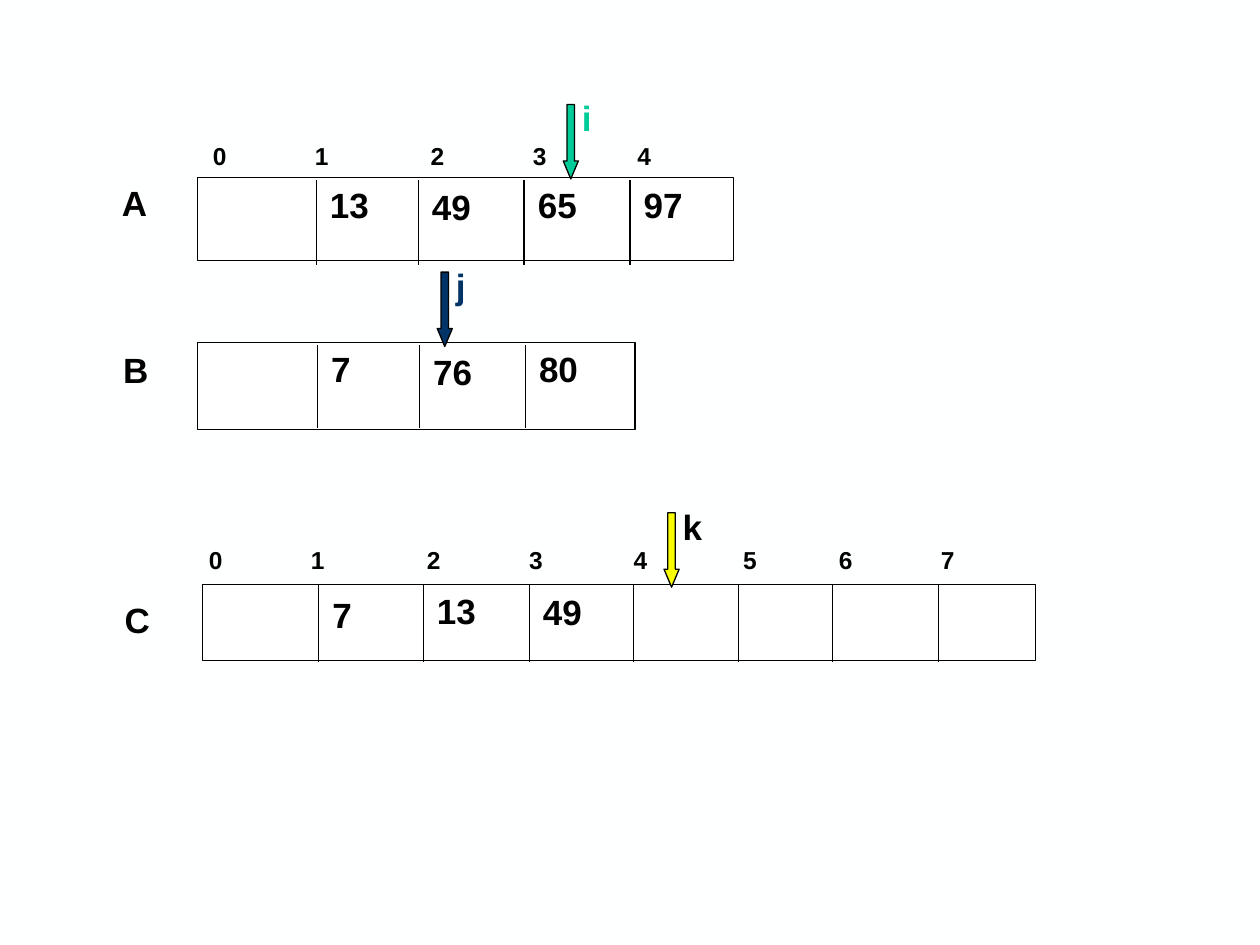
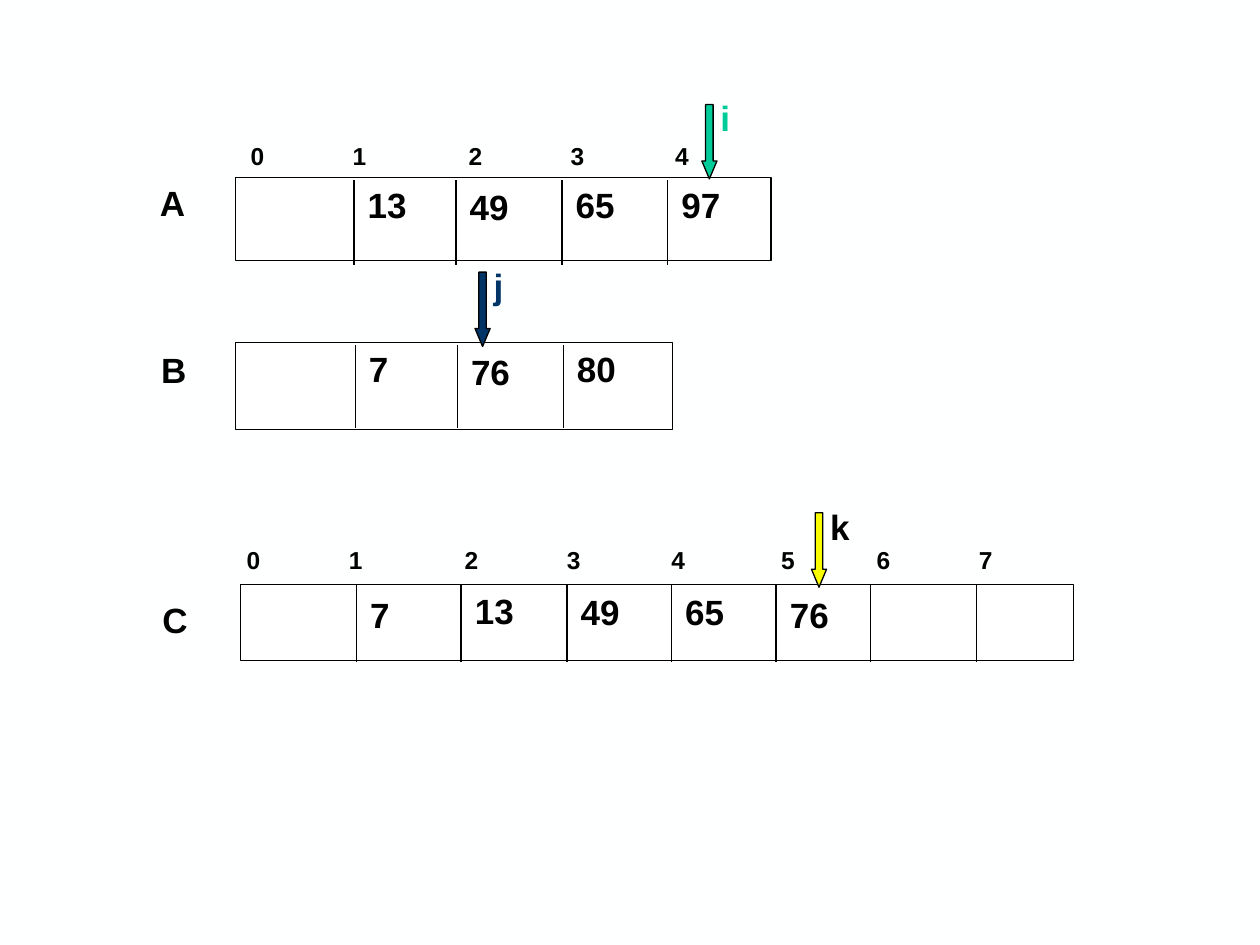
from lxml import etree
from pptx import Presentation
from pptx.dml.color import RGBColor
from pptx.enum.shapes import MSO_CONNECTOR, MSO_SHAPE
from pptx.enum.text import MSO_AUTO_SIZE
from pptx.oxml.ns import qn
from pptx.util import Inches, Pt

RECT, DOWN_ARROW = MSO_SHAPE.RECTANGLE, MSO_SHAPE.DOWN_ARROW
STRAIGHT = MSO_CONNECTOR.STRAIGHT
FIT_TEXT = MSO_AUTO_SIZE.SHAPE_TO_FIT_TEXT

COLORS = {"page": "FEFFFF", "cell": "FFFFFF", "ink": "000000",
          "i": "00CC99", "j": "003366", "k": "FAFD00"}
FONT = "Arial"

# Arrays: box, name position, dividers with their vertical span, index row
# (left, top, count), and the top of each value relative to the box
ARRAYS = {
    "A": dict(box=(1.57, 1.41, 4.25, 0.66), name=(0.87, 1.39),
              dividers=(2.51, 3.32, 4.16, 5.0), span=(1.43, 2.1),
              index=(1.59, 1.07, 5), nudges=(0, 0.01, 0, 0)),
    "B": dict(box=(1.57, 2.72, 3.47, 0.69), name=(0.88, 2.72),
              dividers=(2.52, 3.33, 4.17), span=(2.74, 3.4),
              index=None, nudges=(-0.01, 0.01, -0.01)),
    "C": dict(box=(1.61, 4.64, 6.61, 0.6), name=(0.89, 4.7),
              dividers=(2.53, 3.36, 4.2, 5.03, 5.86, 6.61, 7.45),
              span=(4.64, 5.25), index=(1.56, 4.28, 8),
              nudges=(0.02, -0.01, 0, 0, 0.02)),
}
INDEX_TABS = (0.81, 1.73, 2.54, 3.37, 4.24, 5.0, 5.81)

# Pointers: top of the arrow and colour of the letter
POINTERS = {"i": (0.83, "i"), "j": (2.16, "j"), "k": (4.07, "ink")}

# Merge steps: shift to the right, values from cell 1 on, left of each arrow
A_VALUES, B_VALUES = ("13", "49", "65", "97"), ("7", "76", "80")
STEPS = [
    dict(shift=0, values={"A": A_VALUES, "B": B_VALUES,
                          "C": ("7", "13", "49")},
         pointers={"i": 4.47, "j": 3.47, "k": 5.27}),
    dict(shift=0.3, values={"A": A_VALUES, "B": B_VALUES,
                            "C": ("7", "13", "49", "65", "76")},
         pointers={"i": 5.27, "j": 3.47, "k": 6.14}),
]


def rgb(name):
    return RGBColor.from_string(COLORS[name])


def add_text(s, text, x, y, w=0.67, h=0.44, size=20, color="ink", tabs=()):
    tf = s.shapes.add_textbox(Inches(x), Inches(y), Inches(w), Inches(h)).text_frame
    tf.word_wrap = True
    tf.auto_size = FIT_TEXT
    tf.text = text
    p = tf.paragraphs[0]
    if tabs:
        tab_list = etree.SubElement(p._p.get_or_add_pPr(), qn("a:tabLst"))
        for pos in tabs:
            etree.SubElement(tab_list, qn("a:tab"), pos=str(Inches(pos)), algn="l")
    for r in p.runs:
        r.font.name = FONT
        r.font.size = Pt(size)
        r.font.bold = True
        r.font.color.rgb = rgb(color)


def outline(sp):
    sp.line.color.rgb = rgb("ink")
    sp.line.width = Pt(0.75)


def add_block(s, kind, x, y, w, h, fill):
    sp = s.shapes.add_shape(kind, Inches(x), Inches(y), Inches(w), Inches(h))
    sp.shadow.inherit = False
    sp.fill.solid()
    sp.fill.fore_color.rgb = rgb(fill)
    outline(sp)
    return sp


def add_divider(s, x, top, bottom):
    line = s.shapes.add_connector(STRAIGHT, Inches(x), Inches(top),
                                  Inches(x), Inches(bottom))
    outline(line)
    etree.SubElement(line._element.spPr, qn("a:effectLst"))


def add_array(s, name, array, values, shift):
    x, y, w, h = array["box"]
    add_block(s, RECT, x + shift, y, w, h, "cell")
    for divider in array["dividers"]:
        add_divider(s, divider + shift, *array["span"])
    for value, divider, nudge in zip(values, array["dividers"], array["nudges"]):
        add_text(s, value, divider + shift + 0.01, y + nudge)
    name_x, name_y = array["name"]
    add_text(s, name, name_x + shift, name_y)
    if array["index"]:
        index_x, index_y, count = array["index"]
        add_text(s, "\t".join(str(n) for n in range(count)), index_x + shift,
                 index_y, w, 0.34, size=14, tabs=INDEX_TABS[:count - 1])


def add_pointer(s, name, x):
    top, color = POINTERS[name]
    arrow = add_block(s, DOWN_ARROW, x, top, 0.12, 0.59, name)
    arrow.adjustments[0] = 0.5
    arrow.adjustments[1] = 1.19
    add_text(s, name, x + 0.05, top - 0.11, w=0.53, color=color)


def main():
    prs = Presentation()
    prs.slide_width, prs.slide_height = Inches(10), Inches(7.5)
    for step in STEPS:
        s = prs.slides.add_slide(prs.slide_layouts[6])
        s.background.fill.solid()
        s.background.fill.fore_color.rgb = rgb("page")
        for name, array in ARRAYS.items():
            add_array(s, name, array, step["values"][name], step["shift"])
        for name, x in step["pointers"].items():
            add_pointer(s, name, x + step["shift"])
    prs.save("out.pptx")


if __name__ == "__main__":
    main()
